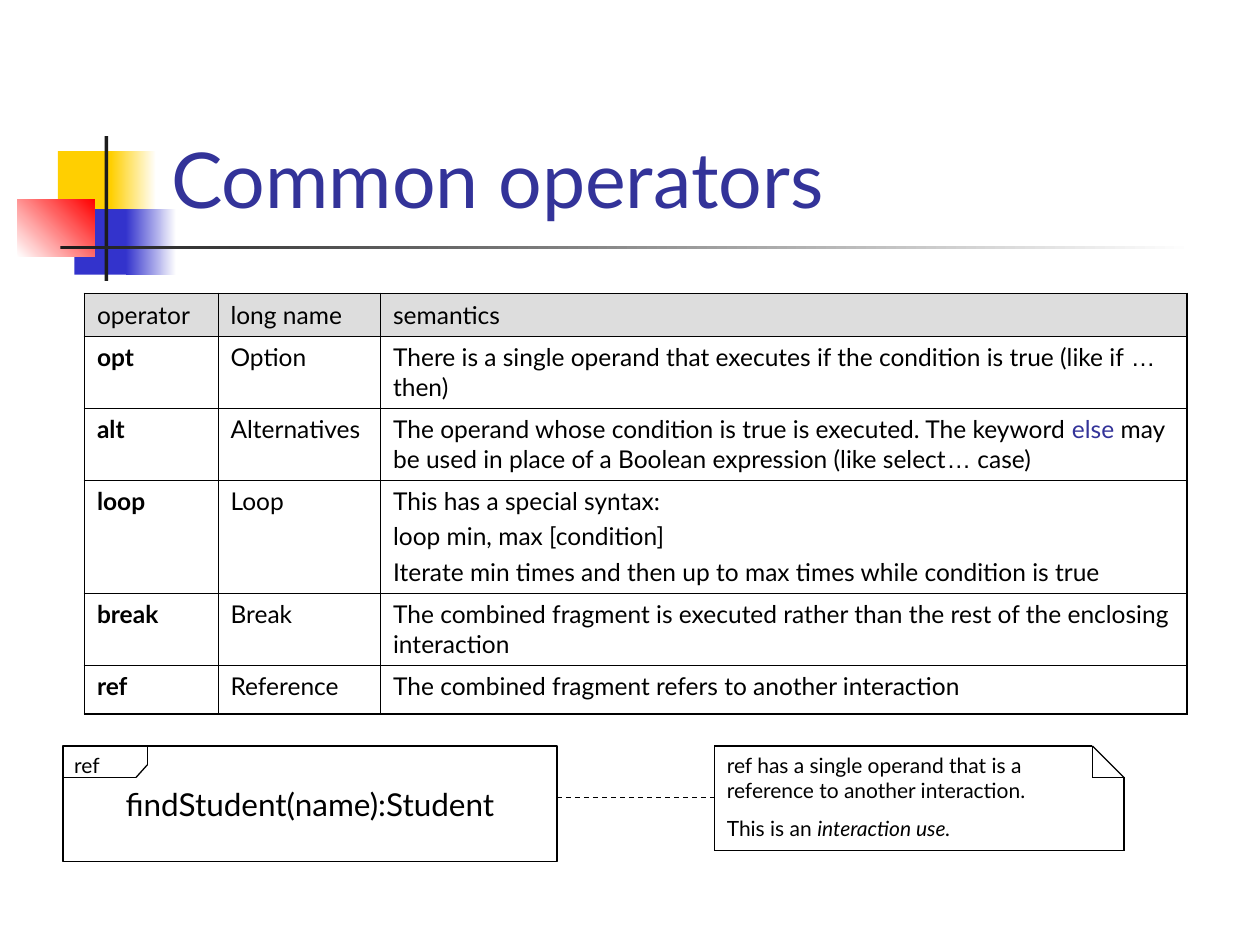
from lxml.etree import SubElement
from pptx import Presentation
from pptx.dml.color import RGBColor
from pptx.enum.dml import MSO_LINE_DASH_STYLE as Dash
from pptx.enum.shapes import MSO_CONNECTOR as Connector, MSO_SHAPE as Shape
from pptx.enum.text import MSO_ANCHOR as Anchor, MSO_AUTO_SIZE as AutoSize, PP_ALIGN as Align
from pptx.oxml import parse_xml
from pptx.oxml.ns import nsdecls, qn
from pptx.util import Inches, Pt

BLACK = RGBColor(0x00, 0x00, 0x00)
WHITE = RGBColor(0xFF, 0xFF, 0xFF)
INDIGO = RGBColor(0x33, 0x33, 0x99)
YELLOW = RGBColor(0xFF, 0xCF, 0x01)
BLUE = RGBColor(0x33, 0x33, 0xCC)
RED = RGBColor(0xFF, 0x00, 0x00)
CHARCOAL = RGBColor(0x1C, 0x1C, 0x1C)
GREY = RGBColor(0xDD, 0xDD, 0xDD)

TITLE = "Common operators"
ELLIPSIS = ("…", {"name": "Arial"})
BOLD = {"bold": True}

HEADER = ("operator", "long name", "semantics")
OPERATORS = [
    ("opt", "Option", [[
        "There is a single operand that executes if the condition is true (like if ",
        ELLIPSIS, " then)"]]),
    ("alt", "Alternatives", [[
        "The operand whose condition is true is executed. The keyword ",
        ("else", {"color": INDIGO}),
        " may be used in place of a Boolean expression (like select",
        ELLIPSIS, " case)"]]),
    ("loop", "Loop", [
        ["This has a special syntax:"],
        ["loop min, max [condition]"],
        ["Iterate min times and then up to max times while condition is true"]]),
    ("break", "Break", [[
        "The combined fragment is executed rather than the rest of the enclosing interaction"]]),
    ("ref", "Reference", [["The combined fragment refers to another interaction"]]),
]
FRAME_TEXT = [["findStudent(name):Student"]]
FRAME_LABEL = [["ref"]]
NOTE_TEXT = [
    ["ref has a single operand that is a reference to another interaction."],
    ["This is an ", ("interaction use.", {"italic": True})],
]

ORNAMENTS = [
    ((0.46, 1.2, 0.48, 0.52), (YELLOW,), 0),
    ((0.88, 1.2, 0.36, 0.52), (YELLOW, WHITE), 0),
    ((0.59, 1.66, 0.46, 0.52), (BLUE,), 0),
    ((1, 1.66, 0.4, 0.52), (BLUE, WHITE), 0),
    ((0.14, 1.58, 0.61, 0.46), (WHITE, RED), 45),
    ((0.83, 1.08, 0.03, 1.15), (CHARCOAL,), 0),
    ((0.48, 1.95, 9, 0.03), (CHARCOAL, WHITE), 0),
]
TABLE_BOX = (0.67, 2.33, 8.74, 3.34)
COLUMN_WIDTHS = (1.06, 1.29, 6.4)
ROW_HEIGHTS = (0.34, 0.57, 0.57, 0.9, 0.57, 0.39)
THIN, THICK = 0.45, 1.08

FRAME_BOX = (0.5, 5.92, 3.92, 0.92)
TAB_OUTLINE = [(1.17, 5.92), (1.17, 6.07), (1.08, 6.17), (0.5, 6.17)]
LINK = ((4.42, 6.33), (5.67, 6.33))
NOTE_OUTLINE = [(8.92, 6.17), (8.92, 6.75), (5.67, 6.75), (5.67, 5.92),
                (8.67, 5.92), (8.67, 6.17), (8.92, 6.17), (8.67, 5.92)]


def inches(values):
    return [Inches(value) for value in values]


def write(frame, paragraphs, size, color=BLACK, align=Align.LEFT, gap=0, base=None):
    for index, runs in enumerate(paragraphs):
        paragraph = frame.add_paragraph() if index else frame.paragraphs[0]
        paragraph.alignment = align
        paragraph.space_before = Pt(gap if index else 0)
        for item in runs:
            text, changes = item if isinstance(item, tuple) else (item, {})
            run = paragraph.add_run()
            run.text = text
            values = {"name": "Lato", "size": Pt(size), "bold": False, "color": color}
            values.update(base or {})
            values.update(changes)
            run.font.color.rgb = values.pop("color")
            for name, value in values.items():
                setattr(run.font, name, value)


def add_ornament(slide, box, colors, angle):
    shape = slide.shapes.add_shape(Shape.RECTANGLE, *inches(box))
    shape.shadow.inherit = False
    shape.line.fill.background()
    if len(colors) == 1:
        shape.fill.solid()
        shape.fill.fore_color.rgb = colors[0]
        return
    shape.fill.gradient()
    shape.fill.gradient_angle = angle
    for stop, color in zip(shape.fill.gradient_stops, colors):
        stop.color.rgb = color


def add_line(shapes, start, end, dash=None):
    line = shapes.add_connector(Connector.STRAIGHT, *inches(start + end))
    line.line.color.rgb = BLACK
    line.line.width = Pt(0.75)
    if dash:
        line.line.dash_style = dash
    SubElement(line.element.spPr, qn("a:effectLst"))


def add_outline(shapes, points):
    for start, end in zip(points, points[1:]):
        add_line(shapes, start, end)


def add_text(slide, box, paragraphs, wrap, gap=0):
    frame = slide.shapes.add_textbox(*inches(box)).text_frame
    frame.word_wrap = wrap
    frame.auto_size = AutoSize.SHAPE_TO_FIT_TEXT
    write(frame, paragraphs, 12, gap=gap)


def set_borders(cell, widths):
    properties = cell._tc.get_or_add_tcPr()
    for index, (side, width) in enumerate(widths.items()):
        properties.insert(index, parse_xml(
            f'<a:ln{side} {nsdecls("a")} w="{Pt(width)}"><a:solidFill>'
            f'<a:srgbClr val="{BLACK}"/></a:solidFill></a:ln{side}>'))


def add_operator_table(slide):
    rows = [[[[text]] for text in HEADER]]
    rows += [([[name]], [[long_name]], semantics) for name, long_name, semantics in OPERATORS]
    last_row, last_column = len(rows) - 1, len(HEADER) - 1
    table = slide.shapes.add_table(len(rows), len(HEADER), *inches(TABLE_BOX)).table
    table.first_row = table.horz_banding = False
    for column, width in zip(table.columns, COLUMN_WIDTHS):
        column.width = Inches(width)
    for row, height in zip(table.rows, ROW_HEIGHTS):
        row.height = Inches(height)
    for r, row in enumerate(rows):
        for c, paragraphs in enumerate(row):
            cell = table.cell(r, c)
            if r == 0:
                cell.fill.solid()
                cell.fill.fore_color.rgb = GREY
            else:
                cell.fill.background()
            edges = {"L": c == 0, "R": c == last_column, "T": r == 0, "B": r == last_row}
            set_borders(cell, {side: THICK if outer else THIN for side, outer in edges.items()})
            write(cell.text_frame, paragraphs, 14, gap=3.5, base=BOLD if r and c == 0 else None)


def add_reference_frame(slide):
    frame = slide.shapes.add_shape(Shape.RECTANGLE, *inches(FRAME_BOX))
    frame.shadow.inherit = False
    frame.fill.background()
    frame.line.color.rgb = BLACK
    frame.line.width = Pt(0.75)
    frame.text_frame.word_wrap = False
    frame.text_frame.vertical_anchor = Anchor.MIDDLE
    write(frame.text_frame, FRAME_TEXT, 18, align=Align.CENTER)
    add_outline(slide.shapes, TAB_OUTLINE)
    add_text(slide, (0.49, 5.92, 0.42, 0.3), FRAME_LABEL, wrap=False)


def main():
    presentation = Presentation()
    presentation.slide_width, presentation.slide_height = inches((10, 7.5))
    slide = presentation.slides.add_slide(presentation.slide_layouts[5])
    title = slide.shapes.title
    title.left, title.top, title.width, title.height = inches((1.26, 0.23, 8.52, 1.6))
    title.text_frame.vertical_anchor = Anchor.BOTTOM
    title.text_frame.auto_size = AutoSize.NONE
    write(title.text_frame, [[TITLE]], 44, INDIGO)
    for ornament in ORNAMENTS:
        add_ornament(slide, *ornament)
    add_operator_table(slide)
    add_reference_frame(slide)
    add_line(slide.shapes, *LINK, dash=Dash.DASH)
    add_text(slide, (5.67, 5.92, 3.25, 0.81), NOTE_TEXT, wrap=True, gap=7.5)
    add_outline(slide.shapes.add_group_shape().shapes, NOTE_OUTLINE)
    presentation.save("out.pptx")


if __name__ == "__main__":
    main()
